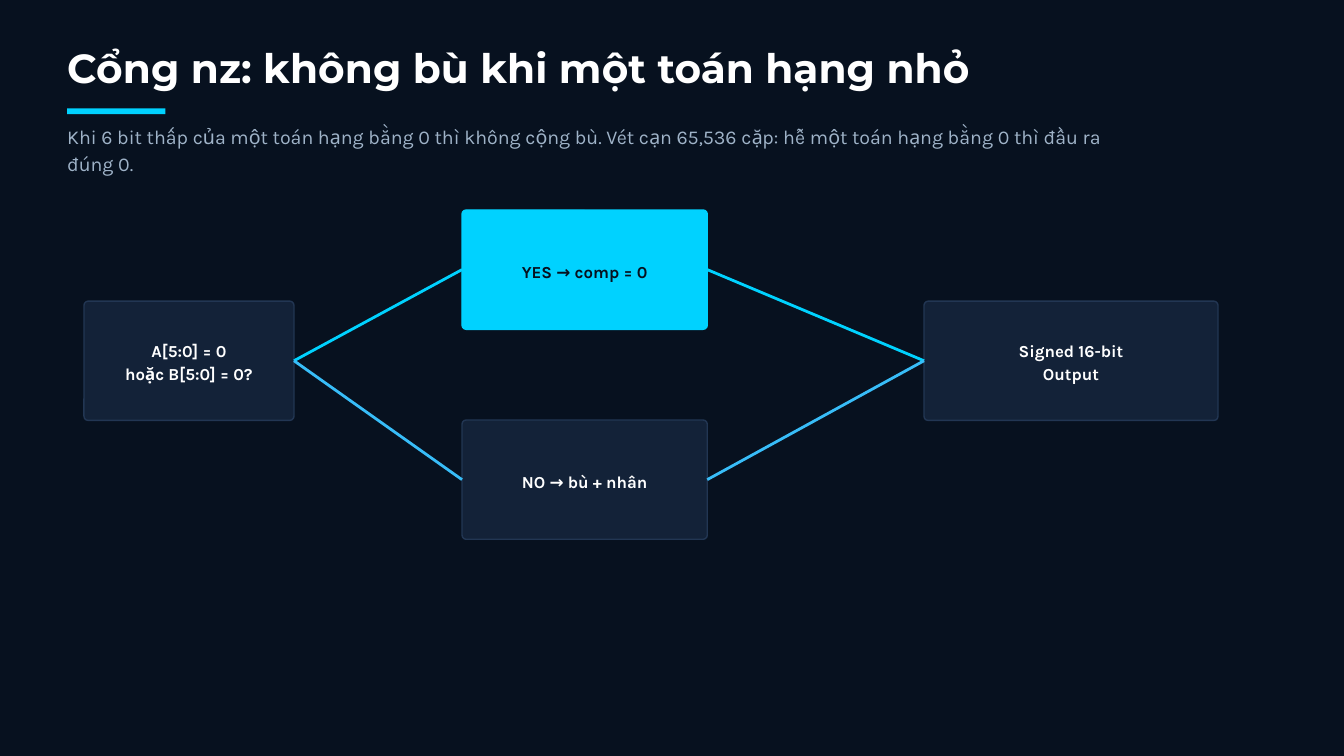
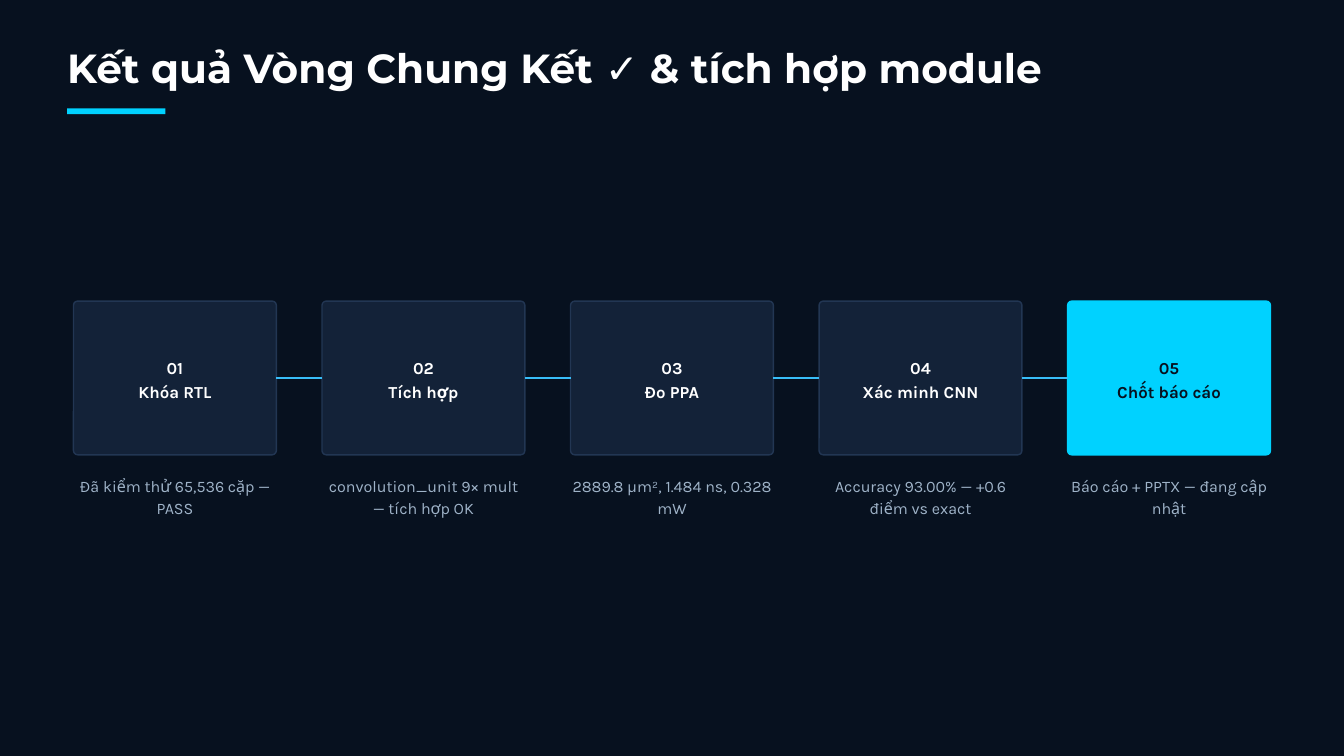
import pptx
import pptx.dml.color
import pptx.enum.shapes
import pptx.enum.text
import pptx.oxml.ns
import pptx.util
import lxml.etree

INK, CARD, EDGE = "07111F", "132238", "223653"
CYAN, SKY, WHITE, MUTED = "00D2FF", "38BDF8", "FFFFFF", "9FB3C8"
W, H = 20, 11.25
U = pptx.util.Inches(W / 32)
ROW = 7.17
RADIUS = 0.1
RECT = pptx.enum.shapes.MSO_SHAPE.RECTANGLE
ROUND = pptx.enum.shapes.MSO_SHAPE.ROUNDED_RECTANGLE
STRAIGHT = pptx.enum.shapes.MSO_CONNECTOR.STRAIGHT
LEFT, CENTER = pptx.enum.text.PP_ALIGN.LEFT, pptx.enum.text.PP_ALIGN.CENTER


def rgb(value):
    return pptx.dml.color.RGBColor.from_string(value)


def write(sp, text, size=18, leading=25.2, font="Karla", color=WHITE, bold=False,
          align=CENTER, inset=0.0, anchor="TOP", fit="SHAPE_TO_FIT_TEXT"):
    tf = sp.text_frame
    tf.word_wrap = True
    tf.auto_size = pptx.enum.text.MSO_AUTO_SIZE[fit]
    tf.vertical_anchor = pptx.enum.text.MSO_ANCHOR[anchor]
    tf.margin_left = tf.margin_right = pptx.util.Inches(inset)
    tf.margin_top = tf.margin_bottom = pptx.util.Inches(inset)
    for i, line in enumerate(text.split("\n")):
        p = tf.add_paragraph() if i else tf.paragraphs[0]
        p.alignment = align
        p.line_spacing = pptx.util.Pt(leading)
        r = p.add_run()
        r.text = line
        r.font.name, r.font.size, r.font.bold = font, pptx.util.Pt(size), bold
        r.font.color.rgb = rgb(color)


steps = [
    ("01\nKhóa RTL", "Đã kiểm thử 65,536 cặp — PASS"),
    ("02\nTích hợp", "convolution_unit 9× mult — tích hợp OK"),
    ("03\nĐo PPA", "2889.8 µm², 1.484 ns, 0.328 mW"),
    ("04\nXác minh CNN", "Accuracy 93.00% — +0.6 điểm vs exact"),
    ("05\nChốt báo cáo", "Báo cáo + PPTX — đang cập nhật"),
]
margin, step_w, step_h = 1.75, 4.83, 3.66
pitch = (32 - 2 * margin - step_w) / (len(steps) - 1)
gate_h = 2.84

slides = [
    {
        "title": "Cổng nz: không bù khi một toán hạng nhỏ",
        "intro": "Khi 6 bit thấp của một toán hạng bằng 0 thì không cộng bù. "
                 "Vét cạn 65,536 cặp: hễ một toán hạng bằng 0 thì đầu ra đúng 0.",
        "boxes": [
            ("A[5:0] = 0\nhoặc B[5:0] = 0?", 2, ROW, 5, gate_h),
            ("YES → comp = 0", 11, 5, 5.84, gate_h),
            ("NO → bù + nhân", 11, 10, 5.84, gate_h),
            ("Signed 16-bit\nOutput", 22, ROW, 7, gate_h),
        ],
        "active": 1,
        "captions": [],
        "links": [(0, 1, CYAN), (0, 2, SKY), (1, 3, CYAN), (2, 3, SKY)],
    },
    {
        "title": "Kết quả Vòng Chung Kết ✓ & tích hợp module",
        "intro": "",
        "boxes": [(label, margin + i * pitch, ROW, step_w, step_h)
                  for i, (label, caption) in enumerate(steps)],
        "active": len(steps) - 1,
        "captions": [caption for label, caption in steps],
        "links": [(i, i + 1, SKY) for i in range(len(steps) - 1)],
    },
]

prs = pptx.Presentation()
prs.slide_width, prs.slide_height = pptx.util.Inches(W), pptx.util.Inches(H)

for content in slides:
    slide = prs.slides.add_slide(prs.slide_layouts[6])
    slide.background.fill.solid()
    slide.background.fill.fore_color.rgb = rgb(INK)
    shapes = slide.shapes

    sp = shapes.add_textbox(*[int(n * U) for n in (1.6, 1.14, 28.8, 1.06)])
    write(sp, content["title"], size=43.5, leading=47, font="Montserrat",
          bold=True, align=LEFT)

    sp = shapes.add_shape(RECT, *[int(n * U) for n in (1.6, 2.58, 2.34, 0.14)])
    sp.shadow.inherit = False
    sp.fill.solid()
    sp.fill.fore_color.rgb = rgb(CYAN)
    sp.line.fill.background()

    if content["intro"]:
        sp = shapes.add_textbox(*[int(n * U) for n in (1.6, 2.91, 25, 0.6)])
        write(sp, content["intro"], size=21, leading=28.4, color=MUTED, align=LEFT)

    boxes = []
    for i, (label, *place) in enumerate(content["boxes"]):
        active = i == content["active"]
        sp = shapes.add_shape(ROUND, *[int(n * U) for n in place])
        sp.adjustments[0] = RADIUS / min(place[2:])
        sp.shadow.inherit = False
        sp.fill.solid()
        sp.fill.fore_color.rgb = rgb(CYAN if active else CARD)
        sp.line.color.rgb = rgb(CYAN if active else EDGE)
        sp.line.width = pptx.util.Pt(1.5)
        write(sp, label, bold=True, color=INK if active else WHITE,
              inset=0.06, anchor="MIDDLE", fit="NONE")
        boxes.append(sp)

    for box, caption in zip(boxes, content["captions"]):
        sp = shapes.add_textbox(box.left, int(11.26 * U), box.width, int(0.53 * U))
        write(sp, caption, size=17.2, leading=24.1, color=MUTED)

    for start, end, color in content["links"]:
        line = shapes.add_connector(STRAIGHT, 0, 0, 0, 0)
        line.begin_connect(boxes[start], 3)
        line.end_connect(boxes[end], 1)
        line.line.color.rgb = rgb(color)
        line.line.width = pptx.util.Pt(3)
        lxml.etree.SubElement(line._element.spPr, pptx.oxml.ns.qn("a:effectLst"))

prs.save("out.pptx")
